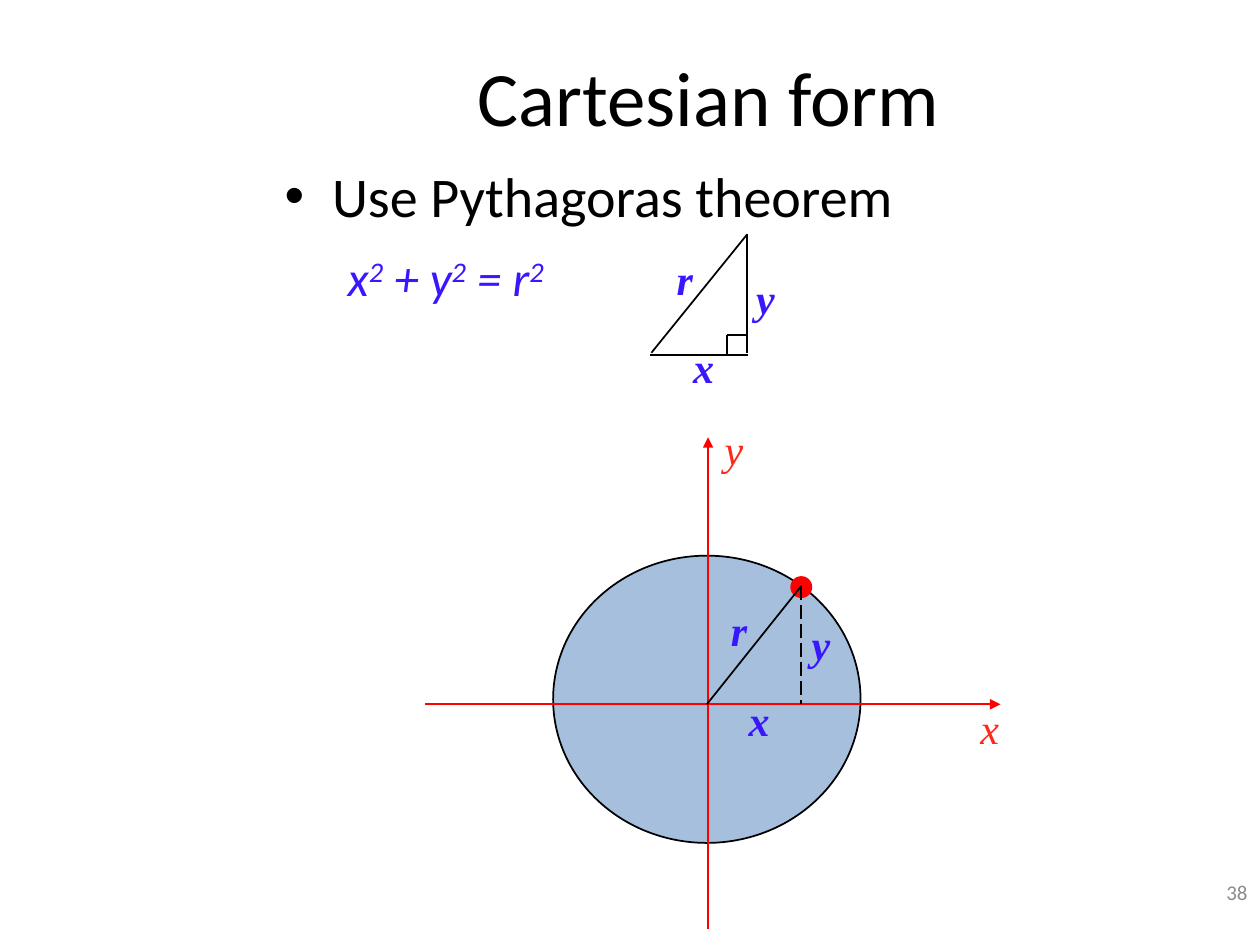
import pptx
import pptx.dml.color
import pptx.enum.dml
import pptx.enum.shapes
import pptx.enum.text
import pptx.oxml.ns
import pptx.util
from pptx.util import Inches

RGBColor = pptx.dml.color.RGBColor
BLACK = RGBColor(0x00, 0x00, 0x00)
RED = RGBColor(0xFF, 0x00, 0x00)
AXIS_RED = RGBColor(0xFD, 0x29, 0x19)
VIOLET = RGBColor(0x38, 0x17, 0xFF)
BLUE = RGBColor(0x4F, 0x81, 0xBD)
GREY = RGBColor(0x8C, 0x8C, 0x8C)
ALIGN = pptx.enum.text.PP_ALIGN
OVAL = pptx.enum.shapes.MSO_SHAPE.OVAL
qn = pptx.oxml.ns.qn


def add_line(page, start, end, color=BLACK, arrow=False, dashed=False):
    line = page.shapes.add_connector(
        pptx.enum.shapes.MSO_CONNECTOR.STRAIGHT,
        *(Inches(value) for value in (*start, *end)))
    line.line.color.rgb = color
    line.line.width = pptx.util.Pt(1)
    if dashed:
        line.line.dash_style = pptx.enum.dml.MSO_LINE.LONG_DASH
    properties = line._element.spPr
    if arrow:
        outline = properties.find(qn("a:ln"))
        outline.append(outline.makeelement(qn("a:tailEnd"), {"type": "triangle"}))
    properties.append(properties.makeelement(qn("a:effectLst"), {}))


def add_circle(page, left, top, width, height, fill, outline):
    circle = page.shapes.add_shape(
        OVAL, Inches(left), Inches(top), Inches(width), Inches(height))
    circle.shadow.inherit = False
    circle.fill.solid()
    circle.fill.fore_color.rgb = fill
    circle.line.color.rgb = outline
    circle.line.width = pptx.util.Pt(1)
    return circle


deck = pptx.Presentation()
deck.slide_width, deck.slide_height = Inches(10), Inches(7.5)
page = deck.slides.add_slide(deck.slide_layouts[1])

# Title and list
title = page.shapes.title
title.left, title.top = Inches(1.5), Inches(0.21)
title.width, title.height = Inches(8.25), Inches(1.1)
span = title.text_frame.paragraphs[0].add_run()
span.text = "Cartesian form"
span.font.size = pptx.util.Pt(44)
span.font.name = "Calibri"
span.font.color.rgb = BLACK

body = page.placeholders[1]
body.left, body.top = Inches(2.16), Inches(1.23)
body.width, body.height = Inches(5.63), Inches(1.82)
para = body.text_frame.paragraphs[0]
para.space_before = pptx.util.Pt(0)
span = para.add_run()
span.text = "Use Pythagoras theorem"
span.font.size = pptx.util.Pt(32)
span.font.name = "Calibri"
span.font.color.rgb = BLACK

para = body.text_frame.add_paragraph()
para.level = 1
para.space_before = pptx.util.Pt(11)
settings = para._p.get_or_add_pPr()
settings.append(settings.makeelement(qn("a:buNone"), {}))
for text in ("x", "2", " + y", "2", " = r", "2"):
    span = para.add_run()
    span.text = text
    span.font.size = pptx.util.Pt(28)
    span.font.name = "Calibri"
    span.font.italic = True
    span.font.color.rgb = VIOLET
    if text == "2":
        span._r.get_or_add_rPr().set("baseline", "30000")

# Slide number
box = page.shapes.add_textbox(Inches(7.92), Inches(6.83), Inches(2.08), Inches(0.5))
box.text_frame.word_wrap = True
box.text_frame.vertical_anchor = pptx.enum.text.MSO_ANCHOR.MIDDLE
para = box.text_frame.paragraphs[0]
para.alignment = ALIGN.RIGHT
span = para.add_run()
span.text = "38"
span.font.size = pptx.util.Pt(12)
span.font.name = "Calibri"
span.font.color.rgb = GREY

# Right triangle with its square corner mark
for start, end in (
    ((5.93, 1.86), (5.93, 2.8)),
    ((5.93, 1.86), (5.17, 2.8)),
    ((5.16, 2.82), (5.94, 2.82)),
    ((5.93, 2.66), (5.77, 2.66)),
    ((5.77, 2.66), (5.77, 2.82)),
):
    add_line(page, start, end)

# Circle on its axes, with a point and its radius
disc = add_circle(page, 4.39, 4.41, 2.44, 2.28, BLUE, BLACK)
disc_color = disc._element.spPr.find(qn("a:solidFill"))[0]
disc_color.append(disc_color.makeelement(qn("a:alpha"), {"val": "50000"}))
add_line(page, (3.37, 5.59), (7.94, 5.59), RED, arrow=True)
add_line(page, (5.62, 7.37), (5.62, 3.47), RED, arrow=True)
add_circle(page, 6.28, 4.58, 0.16, 0.16, RED, RED)
add_line(page, (6.36, 4.65), (6.36, 5.59), dashed=True)
add_line(page, (6.36, 4.65), (5.61, 5.59))

# Letters: sides in bold violet, axes in red
for text, left, top, width, color in (
    ("x", 5.4, 2.66, 0.37, VIOLET),
    ("r", 5.27, 1.96, 0.33, VIOLET),
    ("y", 5.9, 2.11, 0.35, VIOLET),
    ("y", 6.34, 4.86, 0.35, VIOLET),
    ("x", 5.84, 5.46, 0.37, VIOLET),
    ("r", 5.7, 4.75, 0.33, VIOLET),
    ("x", 7.68, 5.53, 0.35, AXIS_RED),
    ("y", 5.65, 3.31, 0.35, AXIS_RED),
):
    box = page.shapes.add_textbox(Inches(left), Inches(top), Inches(width), Inches(0.5))
    box.text_frame.word_wrap = False
    box.text_frame.auto_size = pptx.enum.text.MSO_AUTO_SIZE.SHAPE_TO_FIT_TEXT
    para = box.text_frame.paragraphs[0]
    para.alignment = ALIGN.CENTER
    span = para.add_run()
    span.text = text
    span.font.size = pptx.util.Pt(24)
    span.font.name = "Times New Roman"
    span.font.bold = color == VIOLET
    span.font.italic = True
    span.font.color.rgb = color

deck.save("out.pptx")
